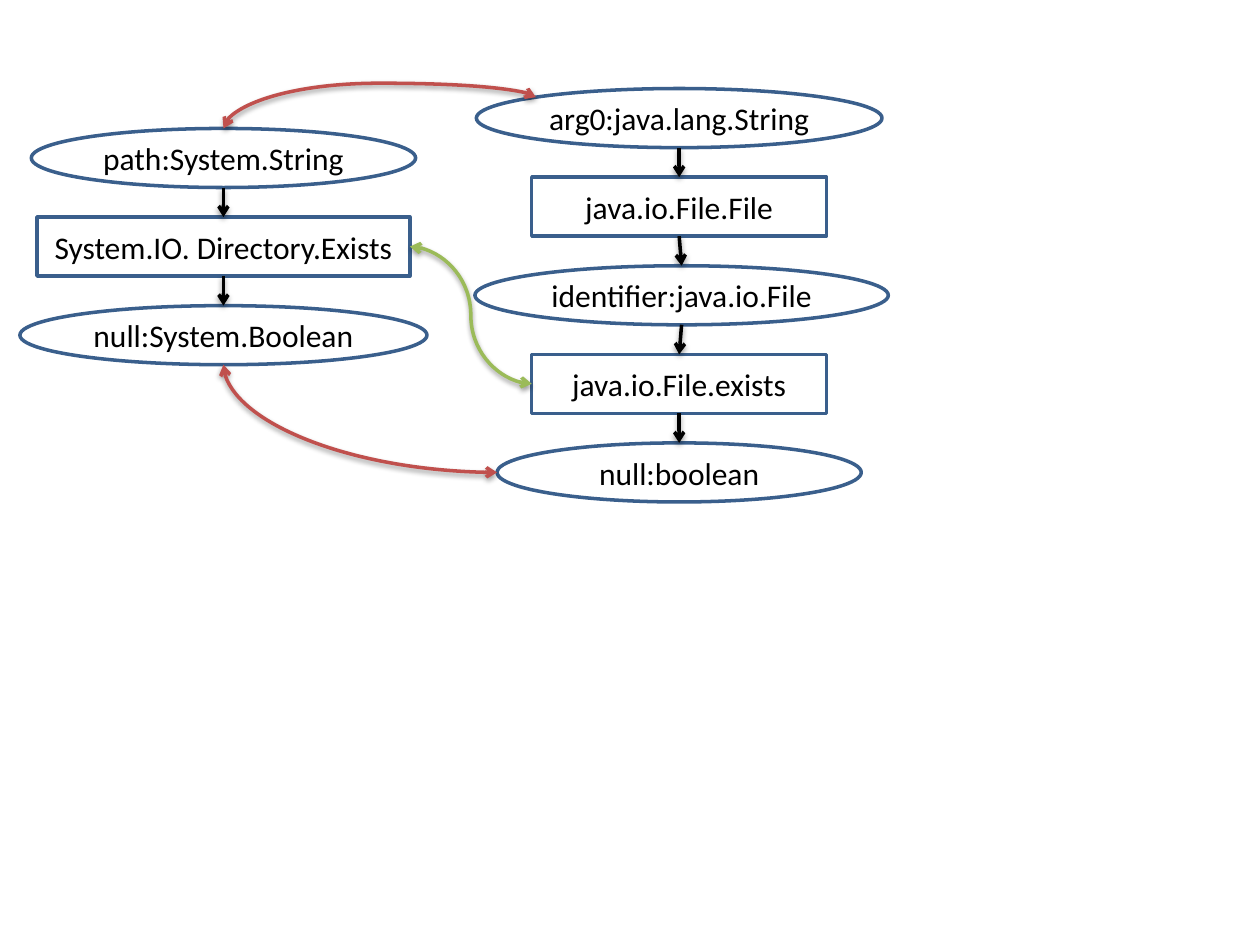
from math import cos, radians, sin

from pptx import Presentation
from pptx.dml.color import RGBColor
from pptx.enum.shapes import MSO_CONNECTOR, MSO_SHAPE
from pptx.enum.text import MSO_ANCHOR, PP_ALIGN
from pptx.oxml import parse_xml
from pptx.oxml.ns import nsdecls, qn
from pptx.util import Pt

ELLIPSE, RECT = MSO_SHAPE.OVAL, MSO_SHAPE.RECTANGLE
STRAIGHT, CURVE = MSO_CONNECTOR.STRAIGHT, MSO_CONNECTOR.CURVE
CENTER, MIDDLE = PP_ALIGN.CENTER, MSO_ANCHOR.MIDDLE

WHITE, BLACK, BLUE, RED, GREEN = "FFFFFF", "000000", "3A5F8C", "C0504D", "9BBB59"
NODE_H, PITCH = 33.75, 50.62
LEFT_X, RIGHT_X = 127.7, 388.1
LEFT_TOP, RIGHT_TOP = 73.4, 50.6

# kind, text, width, shift of the centre from the column's axis
LEFT_CHAIN = [
    (ELLIPSE, "path:System.String", 219.6, 0),
    (RECT, "System.IO. Directory.Exists", 213.1, 0),
    (ELLIPSE, "null:System.Boolean", 232.6, 0),
]
RIGHT_CHAIN = [
    (ELLIPSE, "arg0:java.lang.String", 231.8, 0),
    (RECT, "java.io.File.File", 168.5, 0),
    (ELLIPSE, "identifier:java.io.File", 236.2, 1.4),
    (RECT, "java.io.File.exists", 168.5, 0),
    (ELLIPSE, "null:boolean", 208.1, 0),
]


def rgb(color):
    return RGBColor.from_string(color)


def write(s, text, size=18, color=BLACK, font="Calibri"):
    tf = s.text_frame
    tf.word_wrap = False
    tf.vertical_anchor = MIDDLE
    tf.margin_left = tf.margin_right = tf.margin_top = tf.margin_bottom = 0
    p = tf.paragraphs[0]
    p.alignment = CENTER
    r = p.add_run()
    r.text = text
    r.font.size, r.font.name = Pt(size), font
    r.font.color.rgb = rgb(color)


def add_node(slide, kind, text, cx, top, width):
    s = slide.shapes.add_shape(kind, Pt(cx - width / 2), Pt(top), Pt(width), Pt(NODE_H))
    s.shadow.inherit = False
    s.fill.solid()
    s.fill.fore_color.rgb = rgb(WHITE)
    s.line.color.rgb = rgb(BLUE)
    s.line.width = Pt(2)
    write(s, text)
    return s


def style_line(s, color, ends):
    """Set colour, soft shadow and arrowheads; ends holds headEnd and/or tailEnd."""
    s.line.color.rgb = rgb(color)
    s.line.width = Pt(2)
    ln = s.line._get_or_add_ln()
    for end in ends:
        ln.append(parse_xml(f'<a:{end} {nsdecls("a")} type="arrow"/>'))
    s._element.spPr.append(parse_xml(
        f'<a:effectLst {nsdecls("a")}><a:outerShdw blurRad="{Pt(3.1)}" dist="{Pt(1.6)}" '
        f'dir="5400000" rotWithShape="0"><a:srgbClr val="{BLACK}">'
        '<a:alpha val="38000"/></a:srgbClr></a:outerShdw></a:effectLst>'))


def add_arrow(slide, upper, lower):
    x1, x2 = (s.left + s.width // 2 for s in (upper, lower))
    s = slide.shapes.add_connector(STRAIGHT, x1, upper.top + upper.height, x2, lower.top)
    if upper.auto_shape_type == RECT:
        s.begin_connect(upper, 2)
    s.end_connect(lower, 0)
    style_line(s, BLACK, ["tailEnd"])


def add_chain(slide, chain, axis, top):
    nodes = [add_node(slide, kind, text, axis + shift, top + i * PITCH, width)
             for i, (kind, text, width, shift) in enumerate(chain)]
    for upper, lower in zip(nodes, nodes[1:]):
        add_arrow(slide, upper, lower)


def add_curve(slide, start, end, color, rot=0, preset="curvedConnector3", adj=None):
    """Draw a curve between two points; rot turns its leaving direction."""
    mx, my = (start[0] + end[0]) / 2, (start[1] + end[1]) / 2
    c, n = cos(radians(rot)), sin(radians(rot))
    dx, dy = start[0] - mx, start[1] - my
    u, v = dx * c + dy * n, dy * c - dx * n
    s = slide.shapes.add_connector(CURVE, Pt(mx + u), Pt(my + v), Pt(mx - u), Pt(my - v))
    spPr = s._element.spPr
    spPr.find(qn("a:xfrm")).set("rot", str(rot * 60000))
    geom = spPr.find(qn("a:prstGeom"))
    geom.set("prst", preset)
    if adj is not None:
        geom.find(qn("a:avLst")).append(parse_xml(
            f'<a:gd {nsdecls("a")} name="adj1" fmla="val {round(adj * 100000)}"/>'))
    style_line(s, color, ["headEnd", "tailEnd"])


def main():
    prs = Presentation()
    prs.slide_width, prs.slide_height = Pt(720), Pt(540)
    slide = prs.slides.add_slide(prs.slide_layouts[6])
    add_chain(slide, LEFT_CHAIN, LEFT_X, LEFT_TOP)
    add_chain(slide, RIGHT_CHAIN, RIGHT_X, RIGHT_TOP)

    half = NODE_H / 2
    add_curve(slide, (LEFT_X, LEFT_TOP), (306.2, 55.6), RED, rot=90, adj=1.45)
    add_curve(slide, (LEFT_X, LEFT_TOP + 2 * PITCH + NODE_H),
              (RIGHT_X - RIGHT_CHAIN[4][2] / 2, RIGHT_TOP + 4 * PITCH + half),
              RED, rot=270, preset="curvedConnector2")
    add_curve(slide, (LEFT_X + LEFT_CHAIN[1][2] / 2, LEFT_TOP + PITCH + half),
              (RIGHT_X - RIGHT_CHAIN[3][2] / 2, RIGHT_TOP + 3 * PITCH + half),
              GREEN, adj=0.5)
    prs.save("out.pptx")


if __name__ == "__main__":
    main()
